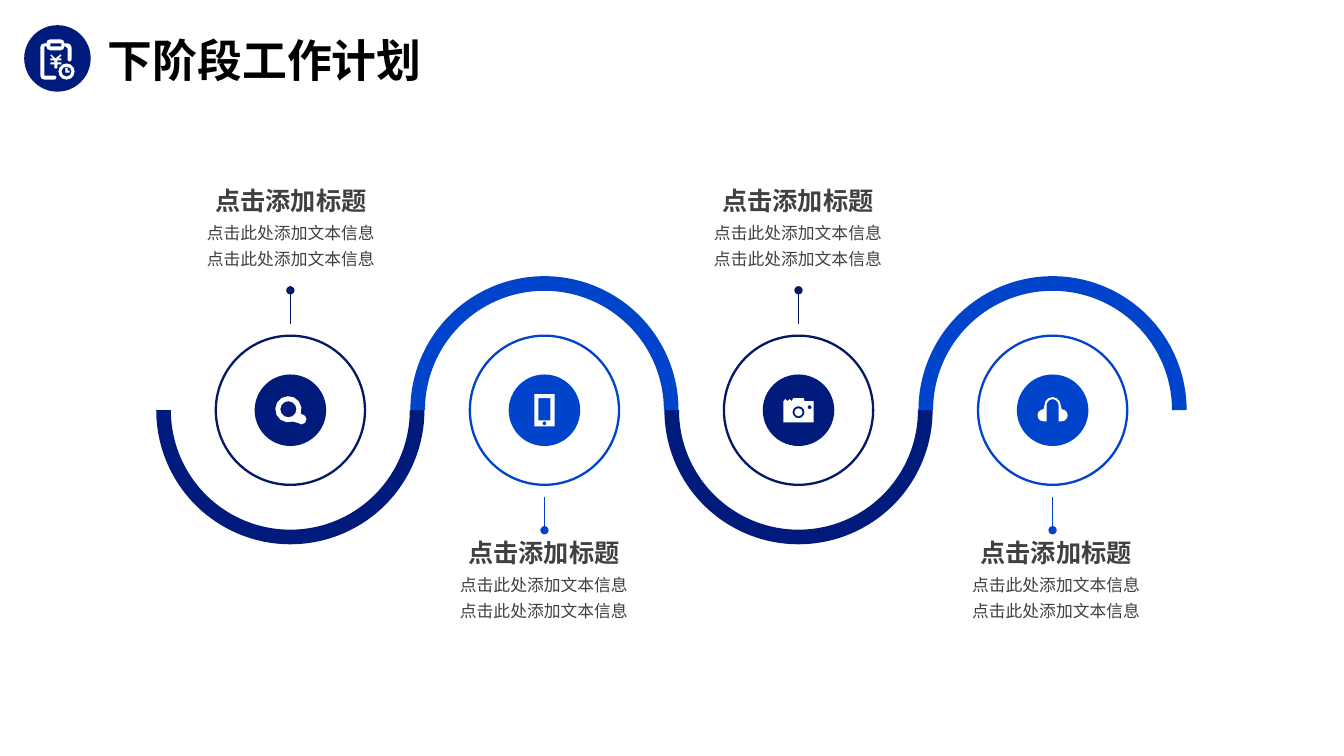
import math

from lxml import etree
from pptx import Presentation
from pptx import util as u
from pptx.dml.color import RGBColor
from pptx.enum import shapes, text
from pptx.oxml.ns import qn

FONT = "Noto Sans CJK SC"
NAVY, DEEP_NAVY, BLUE = "011B7D", "031867", "0044CC"
WHITE, BLACK, GREY = "FFFFFF", "000000", "404040"
STATION_SIZE = 2.66
STATION_PITCH = 2.52
BAND = 0.145
HALF_TURN = 108  # 180 degrees in the units of a block arc's adjustments


def color(value):
    return RGBColor.from_string(value)


def arc(x, y, radius, start, end):
    """Points along an arc, in degrees clockwise from the right."""
    steps = math.ceil(abs(end - start) / (30 if radius > 0.05 else 45))
    angles = [math.radians(start + (end - start) * i / steps) for i in range(steps + 1)]
    return [(x + radius * math.cos(a), y + radius * math.sin(a)) for a in angles]


def circle(x, y, radius):
    return arc(x, y, radius, 0, 360)[:-1]


def rectangle(left, top, right, bottom):
    return [(left, top), (right, top), (right, bottom), (left, bottom)]


def paint(shape, fill):
    shape.shadow.inherit = False
    shape.fill.solid()
    shape.fill.fore_color.rgb = color(fill)
    shape.line.fill.background()


def add_icon(page, x, y, contours):
    """Fill contours given relative to (x, y); nested ones become holes."""
    placed = [[(u.Inches(x + px), u.Inches(y + py)) for px, py in contour]
              for contour in contours]
    builder = page.shapes.build_freeform(*placed[0][0])
    for number, contour in enumerate(placed):
        if number:
            builder.move_to(*contour[0])
        builder.add_line_segments(contour[1:], close=True)
    paint(builder.convert_to_shape(), WHITE)


def add_round(page, kind, x, y, size):
    return page.shapes.add_shape(
        kind, u.Inches(x - size / 2), u.Inches(y - size / 2),
        u.Inches(size), u.Inches(size))


def add_disc(page, x, y, size, fill):
    paint(add_round(page, shapes.MSO_SHAPE.OVAL, x, y, size), fill)


def add_ring(page, x, y, size, line):
    ring = add_round(page, shapes.MSO_SHAPE.OVAL, x, y, size)
    ring.shadow.inherit = False
    ring.fill.background()
    ring.line.color.rgb = color(line)
    ring.line.width = u.Pt(1.63)


def add_bend(page, x, y, opens_up, fill):
    """Half ring of the wave."""
    bend = add_round(page, shapes.MSO_SHAPE.BLOCK_ARC, x, y, STATION_SIZE)
    bend.adjustments[0] = 0 if opens_up else HALF_TURN
    bend.adjustments[1] = HALF_TURN if opens_up else 0
    bend.adjustments[2] = BAND / STATION_SIZE
    paint(bend, fill)


def add_text(page, left, top, width, height, lines, size, fill, bold=False,
             align=text.PP_ALIGN.CENTER, spacing=None):
    box = page.shapes.add_textbox(*map(u.Inches, (left, top, width, height)))
    frame = box.text_frame
    frame.word_wrap = True
    frame.text = "\n".join(lines)
    for para in frame.paragraphs:
        para.alignment = align
        para.line_spacing = spacing
        for span in para.runs:
            span.font.size = u.Pt(size)
            span.font.bold = bold
            span.font.name = FONT
            span.font.color.rgb = color(fill)
            east_asian = etree.SubElement(span.font._element, qn("a:ea"))
            east_asian.set("typeface", FONT)


def add_pin(page, x, start, end, line):
    """Thin vertical line with a round dot at its end."""
    pin = page.shapes.add_connector(shapes.MSO_CONNECTOR.STRAIGHT,
                                    *map(u.Inches, (x, start, x, end)))
    pin.line.color.rgb = color(line)
    pin.line.width = u.Pt(0.5)
    etree.SubElement(pin.line._get_or_add_ln(), qn("a:tailEnd")).set("type", "oval")
    etree.SubElement(pin._element.spPr, qn("a:effectLst"))


MAGNIFIER = [
    arc(-0.02, -0.01, 0.13, 70, 380) + arc(0.11, 0.09, 0.05, -45, 135),
    circle(-0.02, -0.01, 0.08),
]
PHONE = [
    rectangle(-0.1, -0.16, 0.1, 0.16),
    rectangle(-0.06, -0.12, 0.06, 0.1),
    circle(0, 0.13, 0.02),
]
CAMERA = [
    [(-0.15, -0.09), (-0.13, -0.11), (-0.11, -0.09), (-0.09, -0.11), (-0.07, -0.09),
     (-0.05, -0.12), (0.05, -0.12), (0.06, -0.09), (0.15, -0.09),
     (0.15, 0.12), (-0.15, 0.12)],
    circle(0, 0.02, 0.06),
    circle(0, 0.02, 0.04),
    circle(0.11, -0.03, 0.02),
]
HEADPHONES = [
    [(0.06, 0.11)] + arc(0.09, 0.05, 0.06, 90, -90) + arc(0, -0.05, 0.08, 0, -180)
    + arc(-0.09, 0.05, 0.06, 270, 90) + [(-0.06, 0.11)] + arc(0, -0.05, 0.06, 180, 360),
]
CLIPBOARD = [
    arc(0.12, 0.01, 0.02, 0, 180) + [(0.1, -0.1), (0.08, -0.12)]
    + arc(0.03, -0.12, 0.04, 0, 90) + arc(-0.07, -0.12, 0.04, 90, 180)
    + [(-0.13, -0.12), (-0.13, 0.17)] + arc(-0.03, 0.19, 0.02, -90, 90)
    + arc(-0.13, 0.17, 0.04, 90, 180) + arc(-0.13, -0.11, 0.04, 180, 270)
    + arc(-0.07, -0.15, 0.04, 180, 270) + arc(0.03, -0.15, 0.04, 270, 360)
    + arc(0.1, -0.11, 0.04, 270, 360),
    rectangle(-0.07, -0.15, 0.04, -0.12),
    [(-0.07, -0.03), (-0.06, -0.04), (-0.02, 0), (0.03, -0.04), (0.04, -0.03),
     (0.01, 0), (0.04, 0), (0.04, 0.02), (0, 0.02), (0, 0.04), (0.04, 0.04),
     (0.04, 0.06), (0, 0.06), (0, 0.1), (-0.03, 0.1), (-0.03, 0.06),
     (-0.07, 0.06), (-0.07, 0.04), (-0.03, 0.04), (-0.03, 0.02), (-0.07, 0.02),
     (-0.07, 0), (-0.04, 0)],
    circle(0.09, 0.13, 0.08),
    circle(0.09, 0.13, 0.05),
    [(0.08, 0.09), (0.1, 0.09), (0.1, 0.12), (0.12, 0.12), (0.12, 0.14), (0.08, 0.14)],
]


def add_header(page, left, top, title):
    x, y = left + 0.33, top + 0.33
    add_disc(page, x, y, 0.66, NAVY)
    add_icon(page, x, y, CLIPBOARD)
    add_text(page, left + 0.73, top + 0.03, 5.12, 0.64, [title], 32, BLACK,
             bold=True, align=text.PP_ALIGN.LEFT)


def add_station(page, left, top, icon, text_above, text_shift):
    """One bend of the wave with its icon, pin and caption."""
    x, y = left + STATION_SIZE / 2, top + STATION_SIZE / 2
    fill, line = (NAVY, DEEP_NAVY) if text_above else (BLUE, BLUE)
    side = -1 if text_above else 1
    add_pin(page, x, y + side * 0.86, y + side * 1.19, line)
    add_bend(page, x, y, text_above, fill)
    add_ring(page, x, y, 1.48, line)
    add_disc(page, x, y, 0.71, fill)
    add_icon(page, x, y, icon)
    middle = x + text_shift
    caption_top = y - 2.28 if text_above else y + 1.21
    add_text(page, middle - 0.86, caption_top, 1.73, 0.4, ["点击添加标题"],
             18, GREY, bold=True)
    add_text(page, middle - 1.36, caption_top + 0.31, 2.73, 0.62,
             ["点击此处添加文本信息"] * 2, 12, GREY, spacing=1.3)


def main():
    deck = Presentation()
    deck.slide_width, deck.slide_height = u.Inches(13.33), u.Inches(7.5)
    page = deck.slides.add_slide(deck.slide_layouts[6])
    add_header(page, 0.24, 0.25, "下阶段工作计划")
    stations = [(MAGNIFIER, 0), (PHONE, -0.01), (CAMERA, -0.01), (HEADPHONES, 0.03)]
    for number, (icon, text_shift) in enumerate(stations):
        add_station(page, 1.55 + number * STATION_PITCH, 2.74, icon,
                    number % 2 == 0, text_shift)
    deck.save("out.pptx")


if __name__ == "__main__":
    main()
